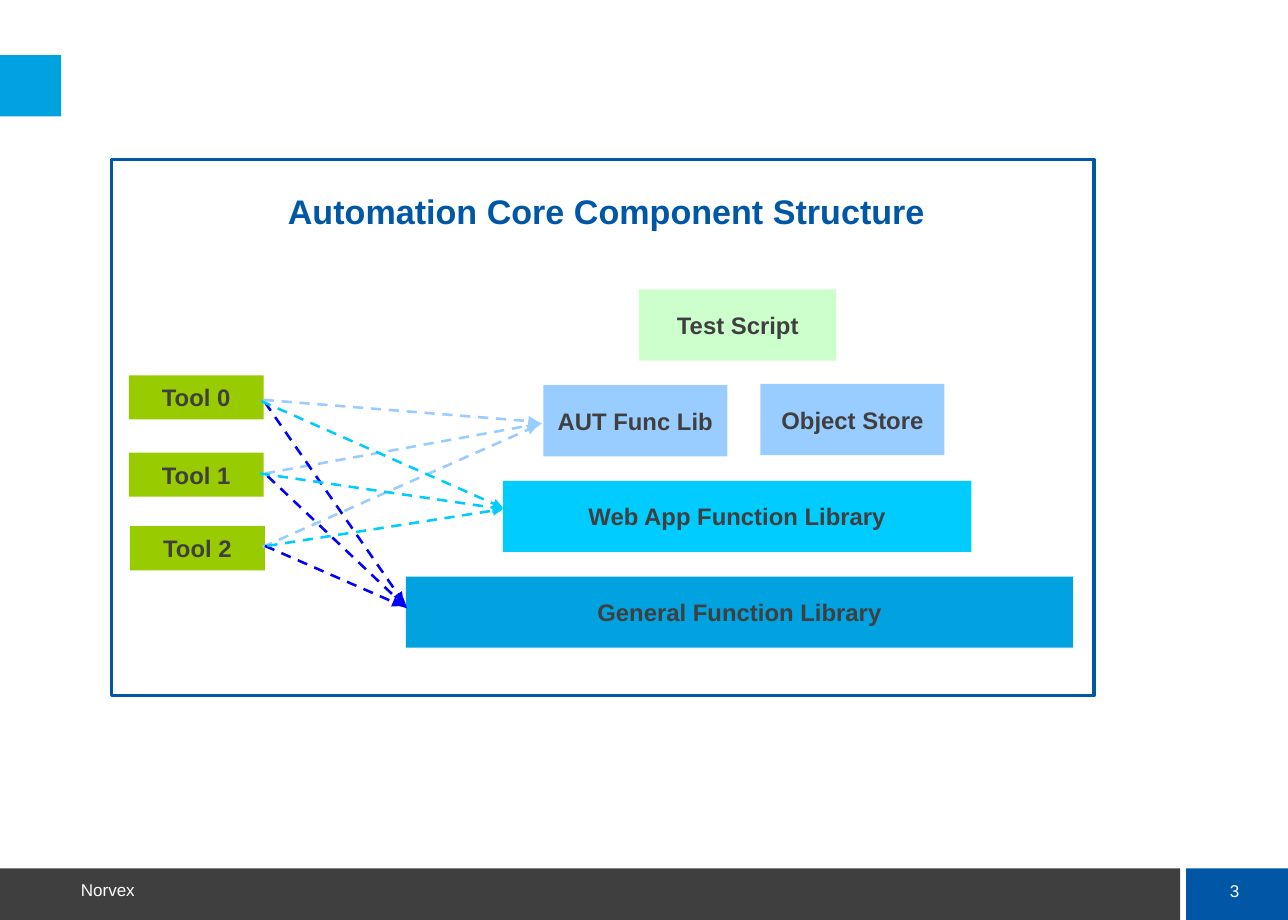
"""Build the slide on the structure of the automation core components."""
from lxml.etree import SubElement
from pptx import Presentation
from pptx.dml.color import RGBColor
from pptx.enum.dml import MSO_LINE
from pptx.enum.shapes import MSO_CONNECTOR, MSO_SHAPE
from pptx.enum.text import MSO_ANCHOR as Anchor, MSO_AUTO_SIZE as AutoSize, PP_ALIGN as Align
from pptx.oxml.ns import qn
from pptx.util import Pt

SCALE = 9144
FONT = "Arial"
COLORS = {
    "white": "FFFFFF", "dark": "3F3F3F", "navy": "0057A6", "blue": "00A2DF",
    "cyan": "00CCFF", "sky": "99CCFF", "mint": "CCFFCC", "green": "99CC00",
    "arrow_blue": "0000FF",
}
TOOL_SIZE = (110, 36)
TOOLS = [("Tool 0", 105, 306), ("Tool 1", 105, 369), ("Tool 2", 106, 429)]
LIBRARIES = [
    ("General Function Library", 331, 470, 544, "blue"),
    ("Web App Function Library", 410, 392, 382, "cyan"),
    ("Object Store", 620, 313, 150, "sky"),
    ("AUT Func Lib", 443, 314, 150, "sky"),
    ("Test Script", 521, 236, 161, "mint"),
]
LIBRARY_HEIGHT = 58
ARROWS = {
    "sky": [(215, 326, 439, 344), (216, 386, 442, 345), (214, 446, 438, 347)],
    "arrow_blue": [(216, 328, 329, 491), (218, 388, 332, 496), (216, 445, 328, 494)],
    "cyan": [(213, 327, 410, 414), (212, 386, 410, 415), (218, 445, 410, 415)],
}


def px(*lengths):
    """Turn px lengths into EMU."""
    return [length * SCALE for length in lengths]


def color(name):
    """Return the named colour."""
    return RGBColor.from_string(COLORS[name])


def write_text(shape, text, *, size=14, fill="dark", bold=False, align=Align.CENTER,
               anchor=Anchor.MIDDLE, line_spacing=None):
    """Write one formatted paragraph into a shape."""
    frame = shape.text_frame
    frame.word_wrap = True
    frame.auto_size = AutoSize.NONE
    frame.vertical_anchor = anchor
    frame.margin_left = frame.margin_right = frame.margin_top = frame.margin_bottom = 0
    paragraph = frame.paragraphs[0]
    paragraph.alignment = align
    paragraph.line_spacing = line_spacing
    run = paragraph.add_run()
    run.text = text
    run.font.name = FONT
    run.font.size = Pt(size)
    run.font.bold = bold
    run.font.color.rgb = color(fill)


def add_box(slide, left, top, width, height, fill=None, line=None, line_width=0.75):
    """Add a rectangle with an optional fill and outline."""
    box = slide.shapes.add_shape(MSO_SHAPE.RECTANGLE, *px(left, top, width, height))
    box.shadow.inherit = False
    if fill:
        box.fill.solid()
        box.fill.fore_color.rgb = color(fill)
    else:
        box.fill.background()
    if line:
        box.line.color.rgb = color(line)
        box.line.width = Pt(line_width)
    else:
        box.line.fill.background()
    return box


def add_label(slide, text, left, top, width, height, **text_format):
    """Add a text box with formatted text."""
    label = slide.shapes.add_textbox(*px(left, top, width, height))
    write_text(label, text, **text_format)


def add_arrow(slide, ends, line):
    """Add a dashed arrow between two points."""
    arrow = slide.shapes.add_connector(MSO_CONNECTOR.STRAIGHT, *px(*ends))
    arrow.line.color.rgb = color(line)
    arrow.line.width = Pt(1.5)
    arrow.line.dash_style = MSO_LINE.DASH
    properties = arrow.element.spPr
    SubElement(properties.find(qn("a:ln")), qn("a:tailEnd"), type="triangle")
    SubElement(properties, qn("a:effectLst"))


def add_title(slide, text):
    """Place and fill the title placeholder."""
    title = slide.shapes.title
    title.left, title.top, title.width, title.height = px(118, 159, 753, 39)
    write_text(title, text, size=20, fill="navy", bold=True, anchor=Anchor.TOP,
               line_spacing=0.9)


def add_page_furniture(slide):
    """Add the side tab, footer bar and page number."""
    add_box(slide, 0, 708, 962, 42, fill="dark")
    add_box(slide, 967, 708, 83, 42, fill="navy")
    add_box(slide, 0, 45, 50, 50, fill="blue")
    add_label(slide, "3", 982, 713, 49, 27, size=10, fill="white")
    add_label(slide, "Norvex", 66, 715, 419, 19, size=10, fill="white",
              align=Align.LEFT, anchor=Anchor.BOTTOM)


def add_components(slide):
    """Add the libraries, the tools and the arrows between them."""
    for text, left, top, width, fill in LIBRARIES:
        box = add_box(slide, left, top, width, LIBRARY_HEIGHT, fill=fill)
        write_text(box, text, bold=True)
    for text, left, top in TOOLS:
        box = add_box(slide, left, top, *TOOL_SIZE, fill="green")
        write_text(box, text, bold=True)
    for line, arrows in ARROWS.items():
        for ends in arrows:
            add_arrow(slide, ends, line)


def main():
    """Build and save the presentation."""
    presentation = Presentation()
    presentation.slide_width, presentation.slide_height = px(1050, 750)
    slide = presentation.slides.add_slide(presentation.slide_layouts[5])
    add_page_furniture(slide)
    add_title(slide, "Automation Core Component Structure")
    add_components(slide)
    add_box(slide, 91, 130, 801, 437, line="navy", line_width=2)
    presentation.save("out.pptx")


if __name__ == "__main__":
    main()
